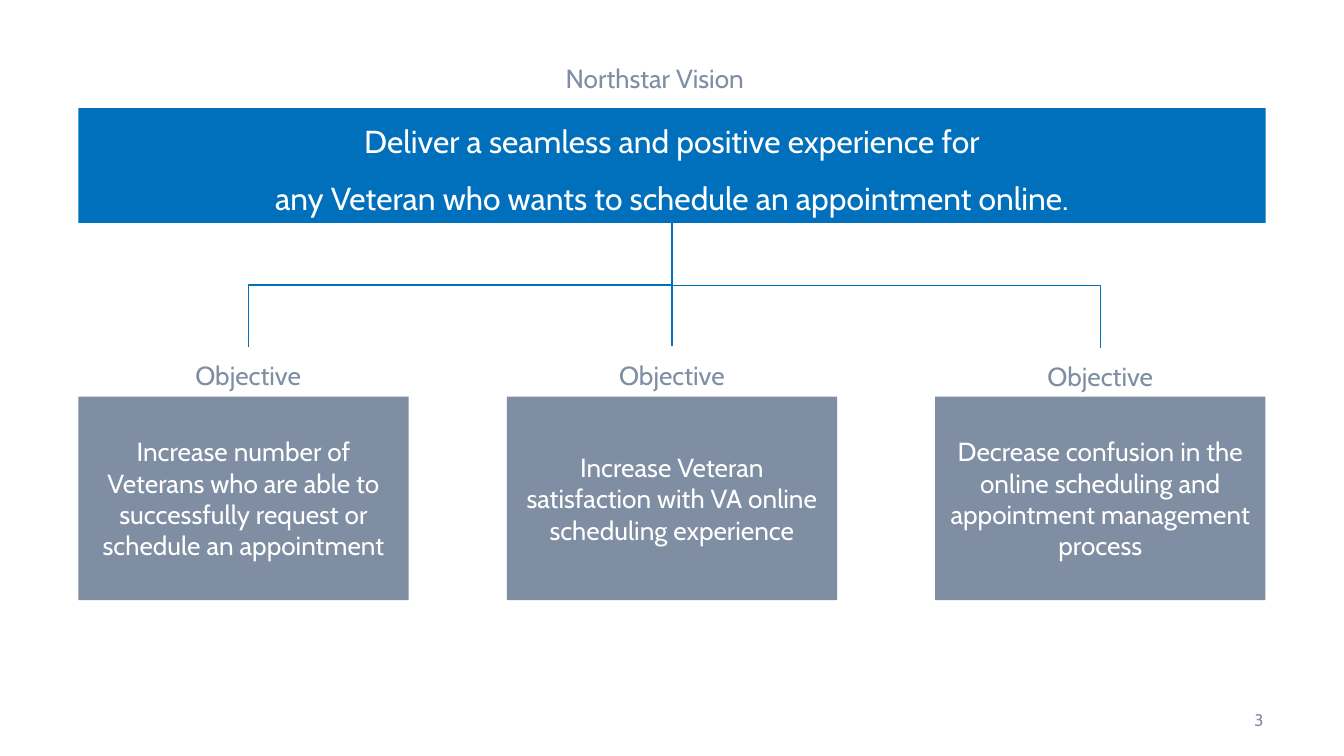
import pptx
import pptx.dml.color
import pptx.enum.shapes
import pptx.enum.text
import pptx.oxml
import pptx.oxml.ns
import pptx.util

Pt = pptx.util.Pt
RGB = pptx.dml.color.RGBColor
Align = pptx.enum.text.PP_ALIGN
Anchor = pptx.enum.text.MSO_ANCHOR
Shape = pptx.enum.shapes.MSO_SHAPE
Link = pptx.enum.shapes.MSO_CONNECTOR

BLUE = RGB(0x00, 0x70, 0xBC)
GREY = RGB(0x7F, 0x8E, 0xA3)
WHITE = RGB(0xFF, 0xFF, 0xFF)
FONT = "Cabin"

MID = 360
EDGE = 42
CARD_W, CARD_STEP = 177, 229.5
LABEL_W, LABEL_H = 128, 14

# card text, then the centre and top of its label
GOALS = [
    ("Increase number of Veterans who are able to successfully "
     "request or schedule an appointment", 133, 186),
    ("Increase Veteran satisfaction with VA online scheduling experience",
     MID, 185.5),
    ("Decrease confusion in the online scheduling and appointment "
     "management process", 589.5, 186.5),
]


def apply(target, values):
    for name, value in values.items():
        setattr(target, name, value)


def write(shape, lines, size, color, align=Align.CENTER,
          anchor=Anchor.MIDDLE, pad=7.2, para={}):
    """Fill a shape with one paragraph per line."""
    frame = shape.text_frame
    apply(frame, {
        "word_wrap": True, "vertical_anchor": anchor,
        "margin_left": Pt(7.2), "margin_right": Pt(7.2),
        "margin_top": Pt(pad), "margin_bottom": Pt(pad),
    })
    for i, line in enumerate(lines):
        item = frame.add_paragraph() if i else frame.paragraphs[0]
        item.text = line
        apply(item, {"alignment": align, **para})
        if i:
            apply(item, {"space_before": Pt(6), "space_after": Pt(6)})
        apply(item.runs[0].font, {"name": FONT, "size": Pt(size)})
        item.runs[0].font.color.rgb = color


def add_block(slide, box, fill, lines, size, para={}):
    block = slide.shapes.add_shape(Shape.RECTANGLE, *map(Pt, box))
    block.shadow.inherit = False
    block.fill.solid()
    block.fill.fore_color.rgb = fill
    block.line.fill.background()
    write(block, lines, size, WHITE, para=para)
    return block


def add_label(slide, box, text, size=14, **style):
    label = slide.shapes.add_textbox(*map(Pt, box))
    write(label, [text], size, GREY, **style)
    return label


def add_line(slide, kind, ends):
    line = slide.shapes.add_connector(kind, *map(Pt, ends))
    line.line.color.rgb = BLUE
    line.line.width = Pt(0.75)
    props = line._element.spPr
    props.append(pptx.oxml.parse_xml(
        "<a:effectLst %s/>" % pptx.oxml.ns.nsdecls("a")))
    return line


def add_elbow(slide, start, end):
    """Draw a down-across-down elbow by turning an across-down-across one."""
    (x1, y1), (x2, y2) = start, end
    mid_x, mid_y = (x1 + x2) / 2, (y1 + y2) / 2
    side = 1 if x2 > x1 else -1
    half, span = side * (y2 - y1) / 2, abs(x2 - x1) / 2
    elbow = add_line(slide, Link.ELBOW, (
        mid_x + half, mid_y - span, mid_x - half, mid_y + span))
    turn = 270 if side > 0 else 90
    elbow._element.spPr.find(pptx.oxml.ns.qn("a:xfrm")).set(
        "rot", str(turn * 60000))


def main():
    deck = pptx.Presentation()
    apply(deck, {"slide_width": Pt(720), "slide_height": Pt(405)})
    slide = deck.slides.add_slide(deck.slide_layouts[6])

    add_label(slide, (630, 375, 54, 21.5), "3", 9,
              align=Align.RIGHT, pad=3.6)
    add_label(slide, (296, 26.5, LABEL_W, LABEL_H), "Northstar Vision",
              align=Align.LEFT, anchor=Anchor.TOP)
    top, height = 58, 61.5
    banner = add_block(slide, (EDGE, top, 636, height), BLUE, [
        "Deliver a seamless and positive experience for",
        "any Veteran who wants to schedule an appointment online.",
    ], 17, {"line_spacing": 1.2})

    base = top + height
    for i, (text, center, y) in enumerate(GOALS):
        add_block(slide, (EDGE + i * CARD_STEP, 212.5, CARD_W, 109),
                  GREY, [text], 14)
        label = add_label(
            slide, (center - LABEL_W / 2, y, LABEL_W, LABEL_H),
            "Objective", anchor=Anchor.TOP)
        if center == MID:
            stem = add_line(slide, Link.STRAIGHT, (MID, base, MID, y))
            stem.begin_connect(banner, 2)
            stem.end_connect(label, 0)
        else:
            add_elbow(slide, (MID, base), (center, y))

    deck.save("out.pptx")


if __name__ == "__main__":
    main()
